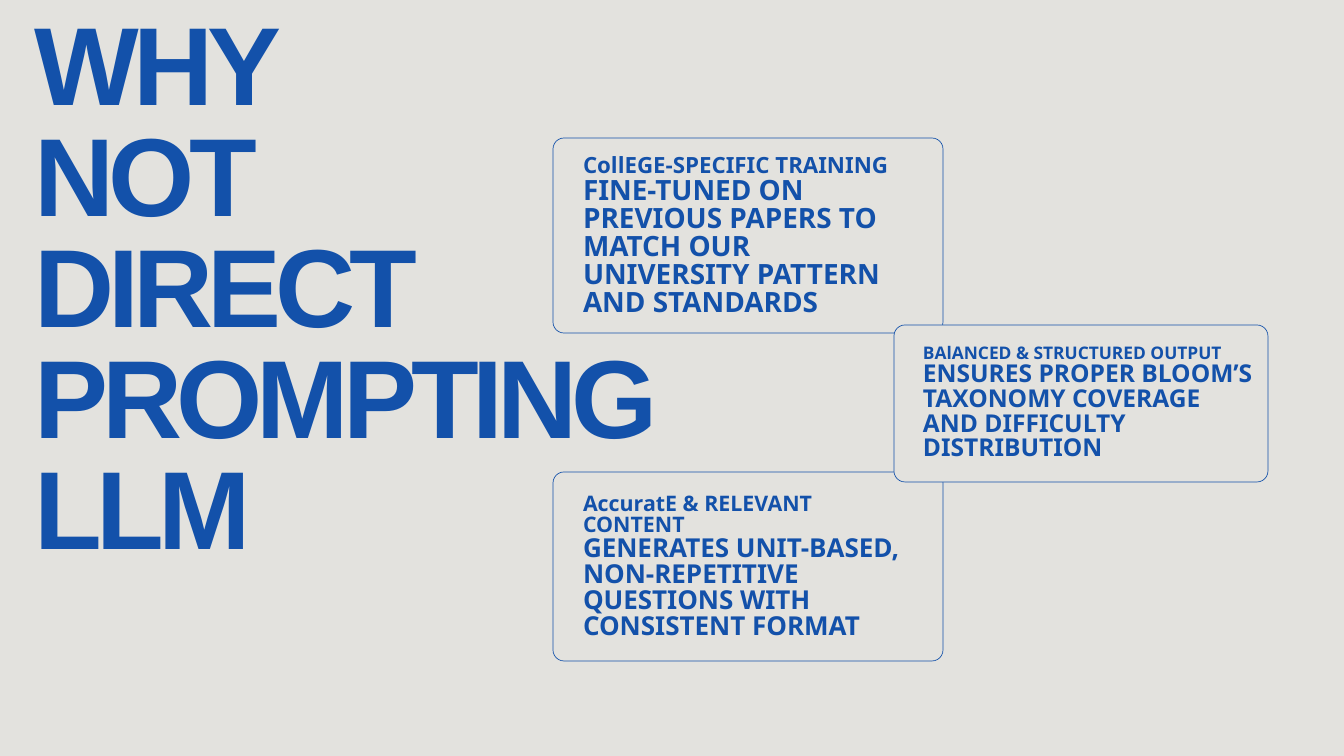
import pptx
import pptx.dml.color
import pptx.enum.shapes
import pptx.enum.text
import pptx.util

SLIDE_WIDTH, SLIDE_HEIGHT = 1344, 756
EMU_PER_PX = pptx.util.Inches(20) / SLIDE_WIDTH
BLUE, PAPER = "1351AA", "E3E2DE"
CORNER_RADIUS = 11

TITLE_LINES = ["WHY", "NOT", "DIRECT PROMPTING", "LLM"]

# Card box, text box, then (text, size in points) for heading and body
CARDS = [
    ((553, 138, 390, 195), (583, 156, 331, 204),
     [("CollEGE-SPECIFIC TRAINING", 23.9),
      ("FINE-TUNED ON PREVIOUS PAPERS TO MATCH OUR UNIVERSITY PATTERN AND STANDARDS", 29.9)]),
    ((553, 472, 390, 189), (583, 494, 333, 149),
     [("AccuratE & RELEVANT CONTENT", 22.9),
      ("GENERATES UNIT-BASED, NON-REPETITIVE QUESTIONS WITH CONSISTENT FORMAT", 27.9)]),
    ((894, 325, 374, 157), (923, 346, 337, 116),
     [("BAlANCED & STRUCTURED OUTPUT", 18.6),
      ("ENSURES PROPER BLOOM’S TAXONOMY COVERAGE AND DIFFICULTY DISTRIBUTION", 26.3)]),
]


def px(length):
    return pptx.util.Emu(round(length * EMU_PER_PX))


def color(hex_string):
    return pptx.dml.color.RGBColor.from_string(hex_string)


def set_attributes(target, values):
    for name, value in values.items():
        setattr(target, name, value)


def add_text(slide, box, lines, font_name, letter_spacing=None):
    """Bold text whose line pitch equals its font size."""
    text_frame = slide.shapes.add_textbox(*map(px, box)).text_frame
    set_attributes(text_frame, {
        "word_wrap": True,
        "vertical_anchor": pptx.enum.text.MSO_ANCHOR.TOP,
        "margin_left": 0, "margin_top": 0, "margin_right": 0, "margin_bottom": 0,
    })
    for index, (text, size) in enumerate(lines):
        paragraph = text_frame.paragraphs[0] if index == 0 else text_frame.add_paragraph()
        paragraph.line_spacing = pptx.util.Pt(size)
        run = paragraph.add_run()
        run.text = text
        set_attributes(run.font, {"name": font_name, "size": pptx.util.Pt(size), "bold": True})
        run.font.color.rgb = color(BLUE)
        if letter_spacing is not None:
            run.font._element.set("spc", str(round(letter_spacing * 100)))


def add_card(slide, box, text_box, lines):
    shape = slide.shapes.add_shape(
        pptx.enum.shapes.MSO_SHAPE.ROUNDED_RECTANGLE, *map(px, box))
    shape.adjustments[0] = CORNER_RADIUS / min(box[2:])
    shape.shadow.inherit = False
    shape.fill.solid()
    shape.fill.fore_color.rgb = color(PAPER)
    shape.line.color.rgb = color(BLUE)
    shape.line.width = pptx.util.Pt(0.75)
    add_text(slide, text_box, lines, "Noto Sans")


def main():
    presentation = pptx.Presentation()
    set_attributes(presentation, {
        "slide_width": px(SLIDE_WIDTH), "slide_height": px(SLIDE_HEIGHT)})
    slide = presentation.slides.add_slide(presentation.slide_layouts[6])
    slide.background.fill.solid()
    slide.background.fill.fore_color.rgb = color(PAPER)

    # Title
    add_text(slide, (35, 17, 694, 560), [(line, 118.8) for line in TITLE_LINES],
             "Arial", letter_spacing=-6.5)

    # Reason cards, the last one overlapping the other two
    for box, text_box, lines in CARDS:
        add_card(slide, box, text_box, lines)

    presentation.save("out.pptx")


if __name__ == "__main__":
    main()
